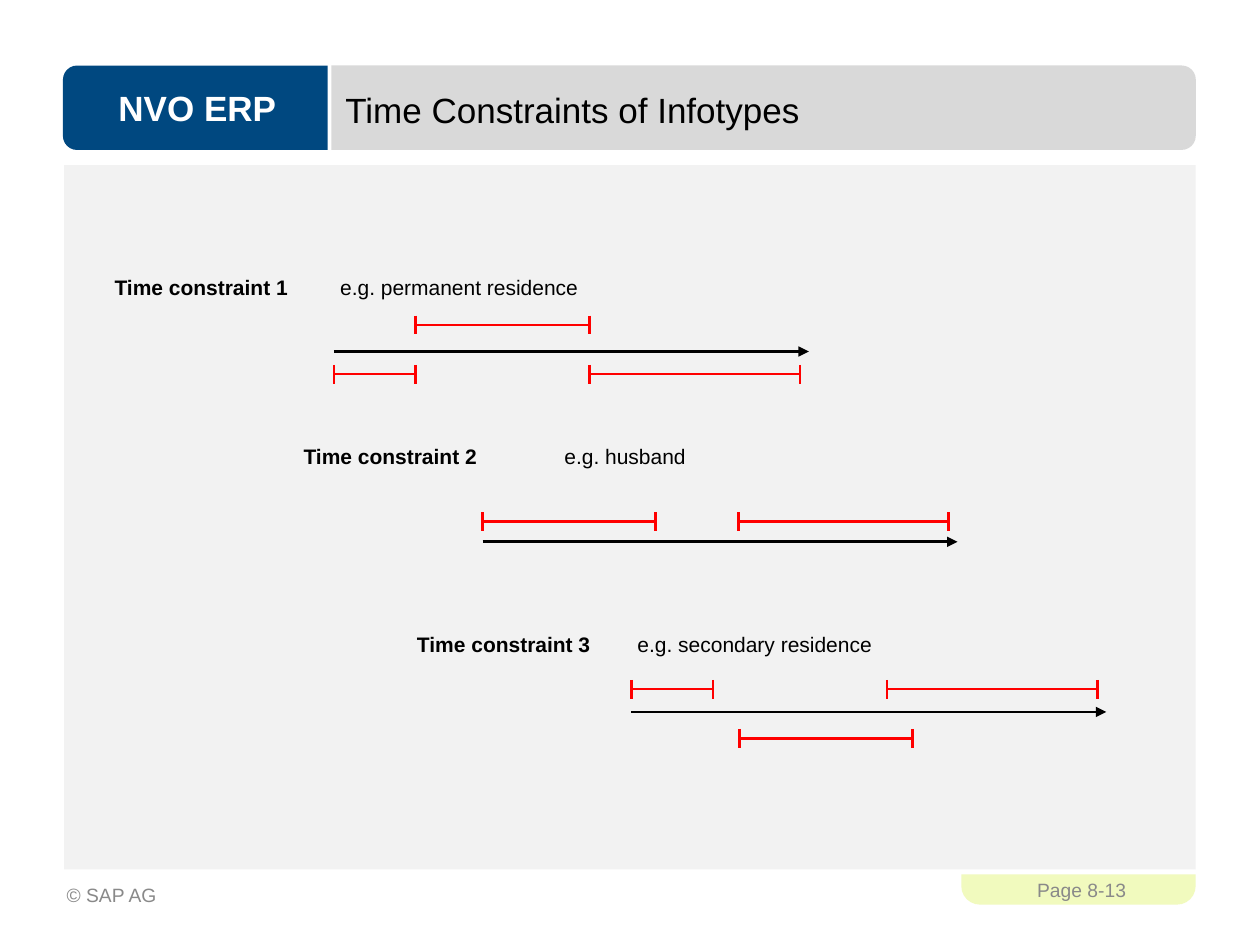
from lxml import etree
from pptx import Presentation
from pptx import util as u
from pptx.dml.color import RGBColor
from pptx.enum import shapes, text
from pptx.oxml import ns

COLORS = {
    "lime": "F1FABE", "white": "FFFFFF", "panel": "F2F2F2", "navy": "004880",
    "bar": "D9D9D9", "muted": "898989", "black": "000000", "red": "FF0000",
}
FIRST_START, START_STEP = 2.65, 1.18
AXIS_LENGTH, TICK = 3.77, 0.15

# label x, label y, example offset, axis y, periods (from, to, offset from axis)
CONSTRAINTS = [
    ("Time constraint 1", "e.g. permanent residence", 0.91, 2.18, 1.79, 2.79,
     [(0.65, 2.03, -0.21), (0, 0.65, 0.18), (2.03, 3.7, 0.18)]),
    ("Time constraint 2", "e.g. husband", 2.41, 3.52, 2.07, 4.3,
     [(0, 1.37, -0.16), (2.03, 3.7, -0.16)]),
    ("Time constraint 3", "e.g. secondary residence", 3.31, 5.01, 1.75, 5.65,
     [(0.86, 2.23, 0.21), (0, 0.65, -0.18), (2.03, 3.7, -0.18)]),
]


def rgb(name):
    """Return the named colour."""
    return RGBColor.from_string(COLORS[name])


def add_span(para, words, size, color="black", bold=False):
    """Add one formatted run to a paragraph."""
    span = para.add_run()
    span.text = words
    span.font.name = "Arial"
    span.font.size = u.Pt(size)
    span.font.bold = bold
    span.font.color.rgb = rgb(color)


def add_block(page, kind, left, top, width, height, color, turn=0):
    """Add a filled shape that covers the given area, turned if asked."""
    across, down = (height, width) if turn else (width, height)
    block = page.shapes.add_shape(
        kind, u.Inches(left + (width - across) / 2), u.Inches(top + (height - down) / 2),
        u.Inches(across), u.Inches(down))
    block.rotation = turn
    block.shadow.inherit = False
    block.fill.solid()
    block.fill.fore_color.rgb = rgb(color)
    block.line.fill.background()
    return block


def add_box(page, left, top, width, height):
    """Add a wrapping, vertically centred text box and return its frame."""
    box = page.shapes.add_textbox(*map(u.Inches, (left, top, width, height)))
    frame = box.text_frame
    frame.word_wrap = True
    frame.vertical_anchor = text.MSO_ANCHOR.MIDDLE
    return frame


def add_line(parent, x1, y1, x2, y2, color, arrow=False):
    """Add a straight line, with an arrowhead at its end if asked."""
    line = parent.shapes.add_connector(
        shapes.MSO_CONNECTOR.STRAIGHT, *map(u.Inches, (x1, y1, x2, y2)))
    line.line.width = u.Pt(1.5)
    line.line.color.rgb = rgb(color)
    if arrow:
        outline = line.line._get_or_add_ln()
        etree.SubElement(outline, ns.qn("a:tailEnd"), type="triangle")
    etree.SubElement(line._element.spPr, ns.qn("a:effectLst"))


def add_period(page, left, right, y):
    """Add a grouped red bar with a tick at each end."""
    period = page.shapes.add_group_shape()
    add_line(period, left, y, right, y, "red")
    for x in (left, right):
        add_line(period, x, y - TICK / 2, x, y + TICK / 2, "red")


def add_label(page, name, example, left, top, offset):
    """Add a bold constraint name and its example at a tab stop."""
    frame = add_box(page, left, top, 3.9, 0.2)
    frame.margin_left = frame.margin_right = 0
    frame.margin_top = frame.margin_bottom = 0
    frame.vertical_anchor = text.MSO_ANCHOR.TOP
    para = frame.paragraphs[0]
    tabs = etree.SubElement(para._p.get_or_add_pPr(), ns.qn("a:tabLst"))
    etree.SubElement(tabs, ns.qn("a:tab"), pos=str(u.Inches(offset)), algn="l")
    add_span(para, name + "\t", 12, bold=True)
    add_span(para, example, 12)


def add_footer(page):
    """Add the page number and the copyright line."""
    para = add_box(page, 7.68, 6.86, 1.81, 0.4).paragraphs[0]
    para.alignment = text.PP_ALIGN.CENTER
    add_span(para, "Page 8-13", 11, "muted")
    para = add_box(page, 0.43, 6.9, 4.51, 0.4).paragraphs[0]
    add_span(para, "© SAP AG", 11, "muted")


def add_header(page):
    """Add the two header bars, the course name and the title."""
    half_round = shapes.MSO_SHAPE.ROUND_2_SAME_RECTANGLE
    course = add_block(page, half_round, 0.5, 0.52, 2.1, 0.67, "navy", 270)
    course.text_frame._txBody.bodyPr.set("vert", "vert")
    course.text_frame.vertical_anchor = text.MSO_ANCHOR.MIDDLE
    para = course.text_frame.paragraphs[0]
    para.alignment = text.PP_ALIGN.CENTER
    add_span(para, "NVO ERP", 20, "white", True)
    add_block(page, half_round, 2.63, 0.52, 6.86, 0.67, "bar", 90)

    title = page.shapes.title
    title.left, title.top, title.width, title.height = map(
        u.Inches, (2.64, 0.54, 6.67, 0.65))
    title.text_frame.vertical_anchor = text.MSO_ANCHOR.MIDDLE
    para = title.text_frame.paragraphs[0]
    para.alignment = text.PP_ALIGN.LEFT
    add_span(para, "Time Constraints of Infotypes", 20)
    page.shapes._spTree.append(title._element)


def main():
    """Build the slide and save it."""
    deck = Presentation()
    deck.slide_width, deck.slide_height = u.Inches(10), u.Inches(7.5)
    page = deck.slides.add_slide(deck.slide_layouts[5])
    kinds = shapes.MSO_SHAPE
    badge = add_block(page, kinds.ROUNDED_RECTANGLE, 7.63, 6.78, 1.86, 0.4, "lime")
    badge.adjustments[0] = 0.37
    add_block(page, kinds.RECTANGLE, 7.51, 6.7, 2.23, 0.24, "white")
    add_block(page, kinds.RECTANGLE, 0.51, 1.31, 8.98, 5.59, "panel")
    add_header(page)
    add_footer(page)
    for index, (name, example, left, top, offset, axis, periods) in enumerate(CONSTRAINTS):
        start = FIRST_START + index * START_STEP
        add_line(page, start, axis, start + AXIS_LENGTH, axis, "black", arrow=True)
        add_label(page, name, example, left, top, offset)
        for begin, end, shift in periods:
            add_period(page, start + begin, start + end, axis + shift)
    deck.save("out.pptx")


if __name__ == "__main__":
    main()
